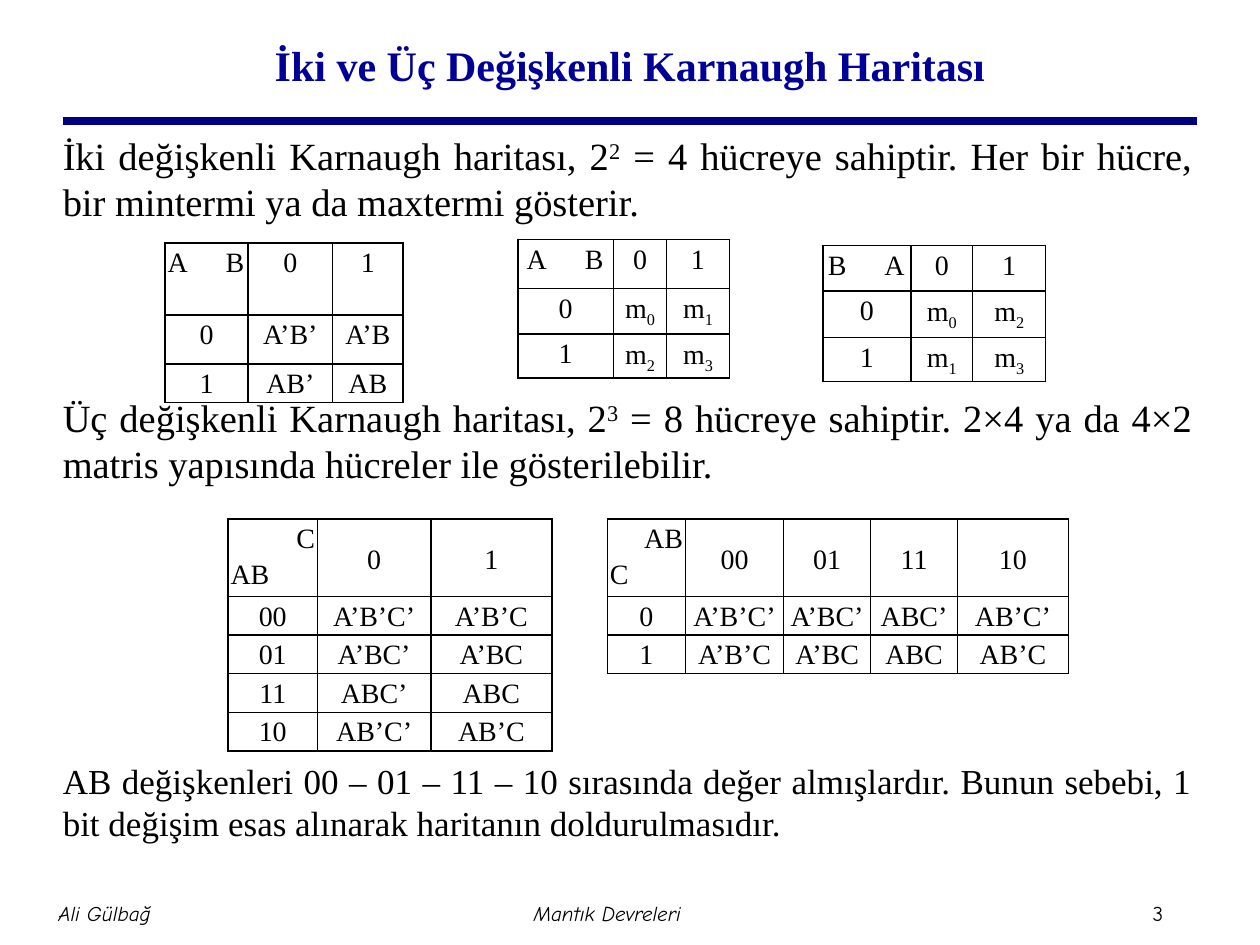
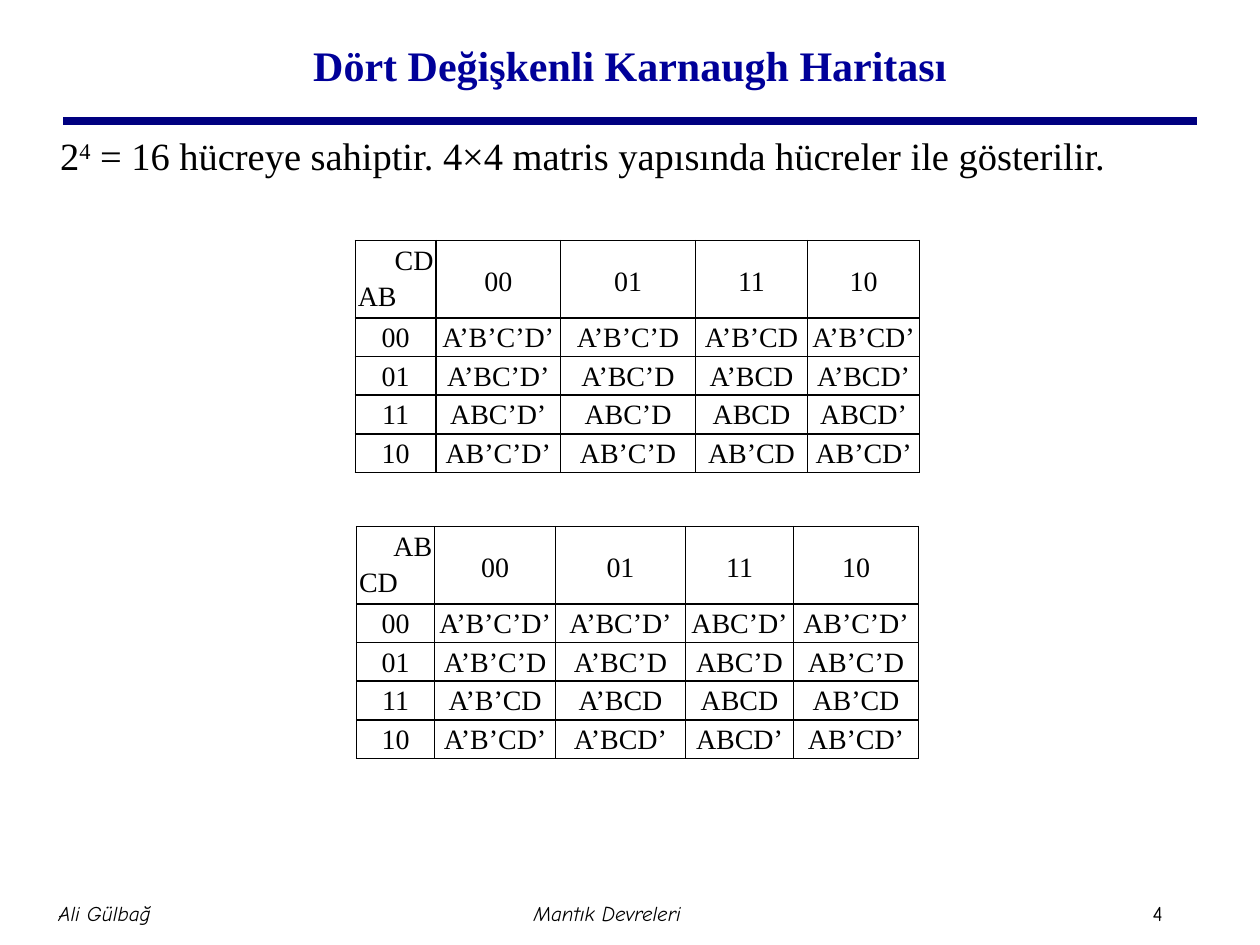
import dataclasses

import lxml.etree
import pptx
import pptx.dml.color
import pptx.enum.shapes
import pptx.enum.text
import pptx.oxml.ns
import pptx.util

ALIGN = pptx.enum.text.PP_ALIGN
ANCHOR = pptx.enum.text.MSO_ANCHOR
COLS, ROWS = 100, 75  # the slide grid, in square cells
CELL = pptx.util.Inches(10) // COLS
GRAY = {1: ["0", "1"], 2: ["00", "01", "11", "10"]}


@dataclasses.dataclass(frozen=True)
class Theme:
    ink: str = "000000"
    title: str = "000099"
    rule: str = "000080"
    serif: str = "Times New Roman"
    hand: str = "Comic Neue"
    head: int = 24
    body: int = 22
    note: int = 20
    cell: int = 16
    foot: int = 12


THEME = Theme()


def grid(count):
    return pptx.util.Emu(round(count * CELL))


def color(code):
    return pptx.dml.color.RGBColor.from_string(code)


def add(parent, tag, **attrs):
    return lxml.etree.SubElement(parent, pptx.oxml.ns.qn(tag), **attrs)


def write(para, text, size=THEME.body, font=THEME.serif, ink=THEME.ink,
          bold=False, italic=False, align=ALIGN.LEFT, space=None, shift=30):
    """Fill a paragraph; text between bars is moved by shift percent."""
    para.alignment = align
    para.line_spacing = space
    for index, part in enumerate(text.split("|")):
        if not part:
            continue
        run = para.add_run()
        run.text = part
        run.font.size = pptx.util.Pt(size)
        run.font.name = font
        run.font.bold = bold
        run.font.italic = italic
        run.font.color.rgb = color(ink)
        if index % 2:
            run.font._element.set("baseline", str(shift * 1000))


def box(slide, text, x, y, wide, high, anchor=ANCHOR.TOP, **form):
    frame = slide.shapes.add_textbox(*map(grid, (x, y, wide, high))).text_frame
    frame.word_wrap = True
    frame.vertical_anchor = anchor
    write(frame.paragraphs[0], text, **form)


def foot(slide, text, x, wide, **form):
    box(slide, text, x, 70, wide, 5, anchor=ANCHOR.MIDDLE,
        size=THEME.foot, font=THEME.hand, **form)


def page(deck, number, title):
    """Add a slide with its title, rule and footers."""
    slide = deck.slides.add_slide(deck.slide_layouts[6])
    rule = slide.shapes.add_connector(
        pptx.enum.shapes.MSO_CONNECTOR.STRAIGHT,
        *map(grid, (5, 9.6, COLS - 5, 9.6)))
    rule.line.color.rgb = color(THEME.rule)
    rule.line.width = pptx.util.Pt(4.5)
    add(rule._element.spPr, "a:effectLst")
    box(slide, title, 7.5, 0.8, 85, 8.6, anchor=ANCHOR.MIDDLE,
        size=THEME.head, ink=THEME.title, bold=True, align=ALIGN.CENTER)
    foot(slide, "Ali Gülbağ", 0, 16.6, italic=True, align=ALIGN.CENTER)
    foot(slide, "Mantık Devreleri", 30.3, 35.8, italic=True, align=ALIGN.CENTER)
    foot(slide, str(number), 90.5, 5.2)
    return slide


def prose(slide, text, y, x=4, **form):
    box(slide, text, x, y, 91.6, 9, align=ALIGN.JUSTIFY, **form)


def term(names, bits):
    return "".join(n if b == "1" else n + "’" for n, b in zip(names, bits))


def index(names, bits):
    return f"m|{int(bits, 2)}|"


def border(cell):
    props = cell._tc.get_or_add_tcPr()
    for side in ("a:lnL", "a:lnR", "a:lnT", "a:lnB"):
        line = add(props, side, w=str(pptx.util.Pt(1)))
        add(add(line, "a:solidFill"), "a:srgbClr", val=THEME.ink)
    cell.fill.background()


def fill(cell, text, pad=0.2, anchor=ANCHOR.TOP, align=ALIGN.CENTER):
    """Write one paragraph for each line of text in a bordered cell."""
    border(cell)
    cell.margin_left = cell.margin_right = grid(pad)
    cell.margin_top = cell.margin_bottom = 0
    cell.vertical_anchor = anchor
    frame = cell.text_frame
    aligns = [ALIGN.RIGHT, align] if "\n" in text else [align]
    for row, (part, side) in enumerate(zip(text.split("\n"), aligns)):
        para = frame.add_paragraph() if row else frame.paragraphs[0]
        write(para, part, size=THEME.cell, align=side, space=1.15, shift=-25)


def chart(slide, down, over, x, y, widths, heights, label=term, pad=0.2):
    """Draw a Karnaugh map: variables down the side and over the top."""
    sides, tops = GRAY[len(down)], GRAY[len(over)]
    table = slide.shapes.add_table(
        len(sides) + 1, len(tops) + 1, grid(x), grid(y),
        grid(sum(widths)), grid(sum(heights))).table
    table.first_row = table.horz_banding = False
    for column, wide in zip(table.columns, widths):
        column.width = grid(wide)
    for row, high in zip(table.rows, heights):
        row.height = grid(high)

    corner = table.cell(0, 0)
    small = len(down + over) == 2
    if small:
        props = corner.text_frame.paragraphs[0]._p.get_or_add_pPr()
        stop = grid(widths[0] - 2 * pad - 0.1)
        add(add(props, "a:tabLst"), "a:tab", pos=str(stop), algn="r")
    fill(corner, f"{down}\t{over}" if small else f"{over}\n{down}",
         pad=pad, align=ALIGN.LEFT)

    for col, top in enumerate(tops, 1):
        fill(table.cell(0, col), top,
             anchor=ANCHOR.TOP if small else ANCHOR.MIDDLE)
    names = "".join(sorted(down + over))
    for row, side in enumerate(sides, 1):
        fill(table.cell(row, 0), side)
        for col, top in enumerate(tops, 1):
            values = dict(zip(down + over, side + top))
            bits = "".join(values[name] for name in names)
            fill(table.cell(row, col), label(names, bits))


def tall(count):
    """Heights of a two-line head row and count plain rows."""
    return [5.65] + [2.84] * count


def main():
    deck = pptx.Presentation()
    deck.slide_width, deck.slide_height = grid(COLS), grid(ROWS)

    slide = page(deck, 3, "İki ve Üç Değişkenli Karnaugh Haritası")
    prose(slide, "İki değişkenli Karnaugh haritası, 2|2| = 4 hücreye sahiptir. "
          "Her bir hücre, bir mintermi ya da maxtermi gösterir.", 10)
    prose(slide, "Üç değişkenli Karnaugh haritası, 2|3| = 8 hücreye sahiptir. "
          "2×4 ya da 4×2 matris yapısında hücreler ile gösterilebilir.", 30.8)
    prose(slide, "AB değişkenleri 00 – 01 – 11 – 10 sırasında değer almışlardır. "
          "Bunun sebebi, 1 bit değişim esas alınarak haritanın "
          "doldurulmasıdır.", 59.8, size=THEME.note)
    chart(slide, "A", "B", 13.1, 19.3, [6.6, 6.7, 5.6], [5.7, 3.9, 2.84])
    chart(slide, "A", "B", 41.1, 19, [7.6, 4.2, 5], [3.9, 3.6, 3.4],
          label=index, pad=0.7)
    chart(slide, "B", "A", 65.3, 19.5, [7, 4.9, 5.8], [3.6, 3.7, 3.3],
          label=index, pad=0.4)
    chart(slide, "AB", "C", 18.1, 41.2, [7.1, 9, 9.6], tall(4))
    chart(slide, "C", "AB", 48.2, 41.2, [6.2, 7.8, 6.9, 6.9, 8.8], tall(2))

    slide = page(deck, 4, "Dört Değişkenli Karnaugh Haritası")
    prose(slide, "2|4| = 16 hücreye sahiptir. 4×4 matris yapısında hücreler "
          "ile gösterilir.", 10, x=3.8)
    chart(slide, "AB", "CD", 28.2, 19.1, [6.4, 9.9, 10.7, 8.9, 8.9], tall(4))
    chart(slide, "CD", "AB", 28.3, 41.8, [6.2, 9.6, 10.3, 8.6, 9.9], tall(4))

    deck.save("out.pptx")


if __name__ == "__main__":
    main()
